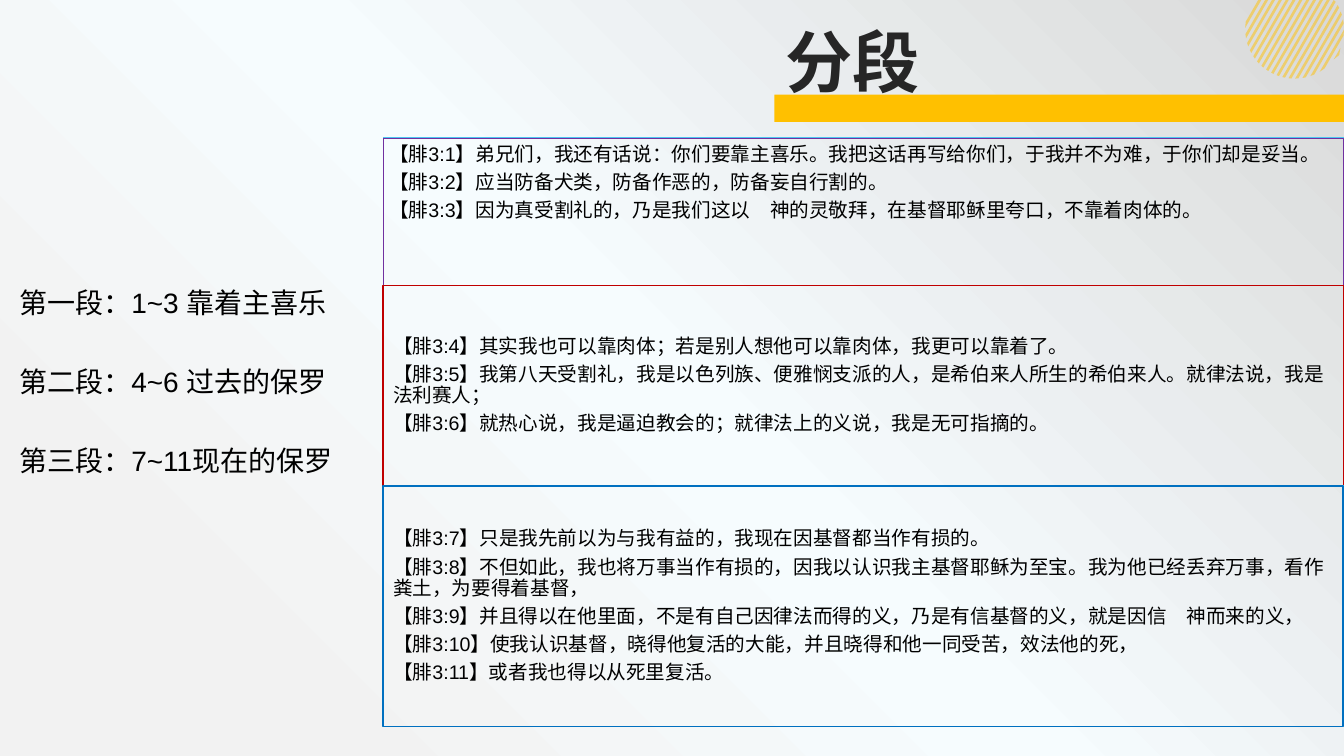
import math
from dataclasses import dataclass

import pptx
import pptx.dml.color
import pptx.enum.lang
import pptx.enum.shapes
import pptx.enum.text
import pptx.oxml
import pptx.oxml.ns
import pptx.util
from pptx.util import Inches


@dataclass
class Theme:
    font: str = "Arial"
    title_size: int = 48
    outline_size: int = 20
    verse_size: int = 14
    amber: str = "FFC000"
    title: str = "262626"
    text: str = "000000"
    rule: str = "4CC5F0"
    purple: str = "7030A0"
    red: str = "C00000"
    blue: str = "0070C0"
    bg_light: str = "F2F2F2"
    bg_mid: str = "F6FCFE"
    bg_dark: str = "D9D9D9"


theme = Theme()
rgb = pptx.dml.color.RGBColor.from_string
shapes_enum = pptx.enum.shapes


def write(tf, lines, size, color, spacing=None, before=0, after=0, bold=None):
    tf.word_wrap = True
    for i, line in enumerate(lines):
        p = tf.paragraphs[0] if i == 0 else tf.add_paragraph()
        p.text = line
        p.alignment = pptx.enum.text.PP_ALIGN.LEFT
        p.line_spacing = spacing
        p.space_before = pptx.util.Pt(before if i else 0)
        p.space_after = pptx.util.Pt(after)
        p.font.name = theme.font
        p.font.size = pptx.util.Pt(size)
        p.font.bold = bold
        p.font.color.rgb = rgb(color)
        p.font.language_id = pptx.enum.lang.MSO_LANGUAGE_ID.SIMPLIFIED_CHINESE


def add_rule(x1, y1, x2, y2, width):
    line = s.shapes.add_connector(
        shapes_enum.MSO_CONNECTOR.STRAIGHT,
        Inches(x1), Inches(y1), Inches(x2), Inches(y2))
    line.line.color.rgb = rgb(theme.rule)
    line.line.width = pptx.util.Pt(width)
    line._element.spPr.append(pptx.oxml.parse_xml(
        f'<a:effectLst {pptx.oxml.ns.nsdecls("a")}/>'))


prs = pptx.Presentation()
prs.slide_width, prs.slide_height = Inches(13.33), Inches(7.5)
s = prs.slides.add_slide(prs.slide_layouts[6])

# Background gradient
fill = s.background.fill
fill.gradient()
bg_pr = s._element.cSld.bg.bgPr
bg_pr.replace(bg_pr[0], pptx.oxml.parse_xml(f'''
<a:gradFill {pptx.oxml.ns.nsdecls("a")} rotWithShape="1">
  <a:gsLst>
    <a:gs pos="15000"><a:srgbClr val="{theme.bg_light}"/></a:gs>
    <a:gs pos="50000"><a:srgbClr val="{theme.bg_mid}"><a:alpha val="27000"/></a:srgbClr></a:gs>
    <a:gs pos="100000"><a:srgbClr val="{theme.bg_dark}"/></a:gs>
  </a:gsLst>
  <a:path path="circle"><a:fillToRect t="100000" r="100000"/></a:path>
  <a:tileRect l="-100000" b="-100000"/>
</a:gradFill>'''))

# Hatched circle: slanted stripes clipped by the circle and the slide top
center_x, center_y, radius = 12.84, 0.29, 0.49
slope = math.tan(math.radians(30))
for i in range(17):
    corners = []
    for x in (12.48 + 0.068 * i, 12.51 + 0.068 * i):
        a = 1 + slope ** 2
        b = slope * (x - center_x) + center_y
        c = (x - center_x) ** 2 + center_y ** 2 - radius ** 2
        root = math.sqrt(max(0, b * b - a * c))
        ends = [max(0, (b - root) / a), (b + root) / a]
        corners.append([(Inches(x - slope * y), Inches(y)) for y in ends])
    (left_top, left_end), (right_top, right_end) = corners
    builder = s.shapes.build_freeform(*left_top, scale=1.0)
    builder.add_line_segments([right_top, right_end, left_end], close=True)
    sp = builder.convert_to_shape()
    sp.shadow.inherit = False
    sp.fill.solid()
    sp.fill.fore_color.rgb = rgb(theme.amber)
    sp.line.fill.background()
    color = sp._element.spPr.find(".//" + pptx.oxml.ns.qn("a:srgbClr"))
    color.append(pptx.oxml.parse_xml(
        f'<a:alpha {pptx.oxml.ns.nsdecls("a")} val="50000"/>'))

# Title and its bar
bar = s.shapes.add_shape(shapes_enum.MSO_SHAPE.RECTANGLE,
                         Inches(7.68), Inches(0.94), Inches(5.65), Inches(0.27))
bar.shadow.inherit = False
bar.fill.solid()
bar.fill.fore_color.rgb = rgb(theme.amber)
bar.line.fill.background()
title = s.shapes.add_textbox(Inches(7.69), Inches(0.15), Inches(4.6), Inches(0.91))
write(title.text_frame, ["分段"], theme.title_size, theme.title, bold=True)

# Outline of the three sections
outline = s.shapes.add_textbox(Inches(0.09), Inches(2.72), Inches(4.45), Inches(2.1))
write(outline.text_frame,
      ["第一段：1~3 靠着主喜乐", "第二段：4~6 过去的保罗", "第三段：7~11现在的保罗"],
      theme.outline_size, theme.text, spacing=1.2, before=27.6)

# Verses, one framed box per section
TOP, MIDDLE = pptx.enum.text.MSO_ANCHOR.TOP, pptx.enum.text.MSO_ANCHOR.MIDDLE
sections = [
    (1.37, 9.53, 1.46, theme.purple, 0.75, TOP, 0.06, [
        "【腓3:1】弟兄们，我还有话说：你们要靠主喜乐。我把这话再写给你们，于我并不为难，于你们却是妥当。",
        "【腓3:2】应当防备犬类，防备作恶的，防备妄自行割的。",
        "【腓3:3】因为真受割礼的，乃是我们这以　神的灵敬拜，在基督耶稣里夸口，不靠着肉体的。",
    ]),
    (2.83, 9.53, 1.99, theme.red, 1, MIDDLE, 0.1, [
        "【腓3:4】其实我也可以靠肉体；若是别人想他可以靠肉体，我更可以靠着了。",
        "【腓3:5】我第八天受割礼，我是以色列族、便雅悯支派的人，是希伯来人所生的希伯来人。就律法说，我是法利赛人；",
        "【腓3:6】就热心说，我是逼迫教会的；就律法上的义说，我是无可指摘的。",
    ]),
    (4.82, 9.52, 2.39, theme.blue, 1, MIDDLE, 0.1, [
        "【腓3:7】只是我先前以为与我有益的，我现在因基督都当作有损的。",
        "【腓3:8】不但如此，我也将万事当作有损的，因我以认识我主基督耶稣为至宝。我为他已经丢弃万事，看作粪土，为要得着基督，",
        "【腓3:9】并且得以在他里面，不是有自己因律法而得的义，乃是有信基督的义，就是因信　神而来的义，",
        "【腓3:10】使我认识基督，晓得他复活的大能，并且晓得和他一同受苦，效法他的死，",
        "【腓3:11】或者我也得以从死里复活。",
    ]),
]
left = 3.8
add_rule(left, 1.37, left, 6.34, 0.5)
for top, width, height, color, weight, anchor, inset, verses in sections:
    add_rule(left, top, 13.33, top, 1)
    sp = s.shapes.add_shape(shapes_enum.MSO_SHAPE.RECTANGLE,
                            Inches(left), Inches(top), Inches(width), Inches(height))
    sp.shadow.inherit = False
    sp.fill.background()
    sp.line.color.rgb = rgb(color)
    sp.line.width = pptx.util.Pt(weight)
    tf = sp.text_frame
    tf.vertical_anchor = anchor
    tf.margin_left = tf.margin_right = Inches(inset)
    tf.margin_top = tf.margin_bottom = Inches(inset)
    write(tf, verses, theme.verse_size, theme.text, spacing=0.9, after=4.9)

prs.save("out.pptx")
